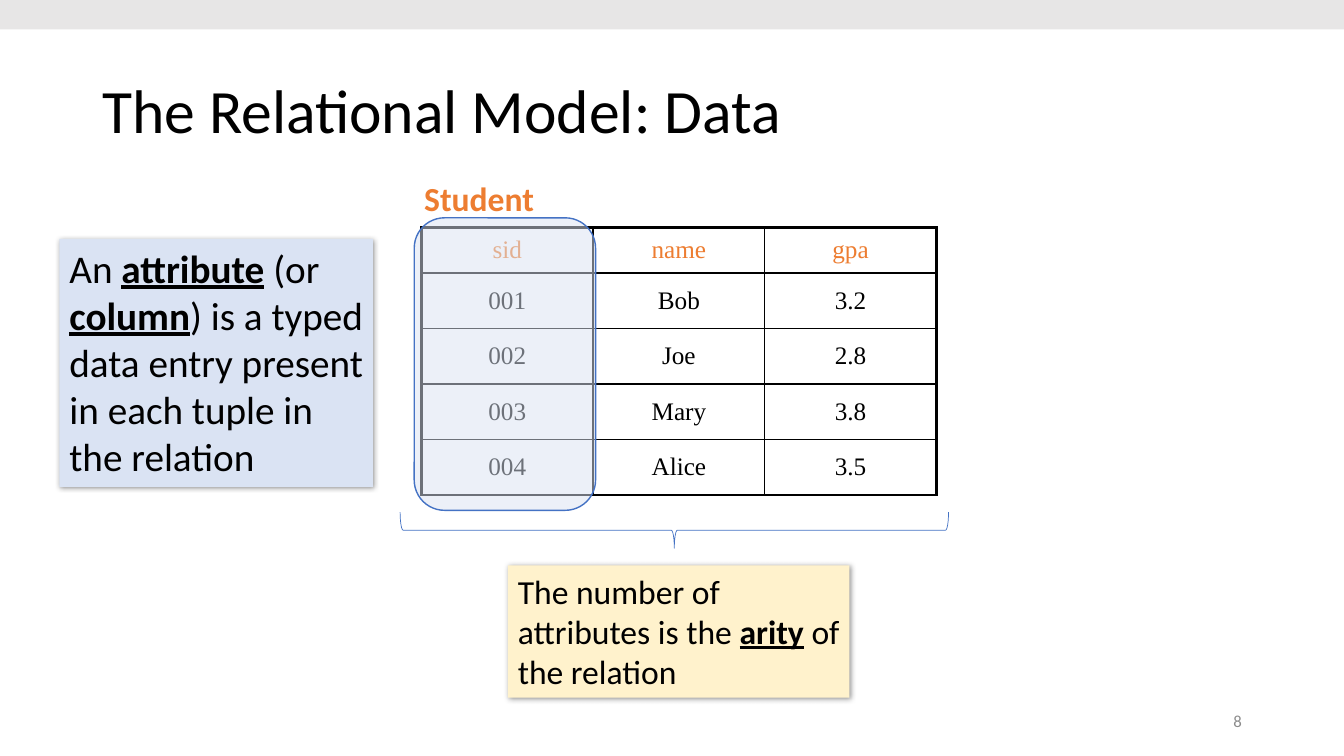
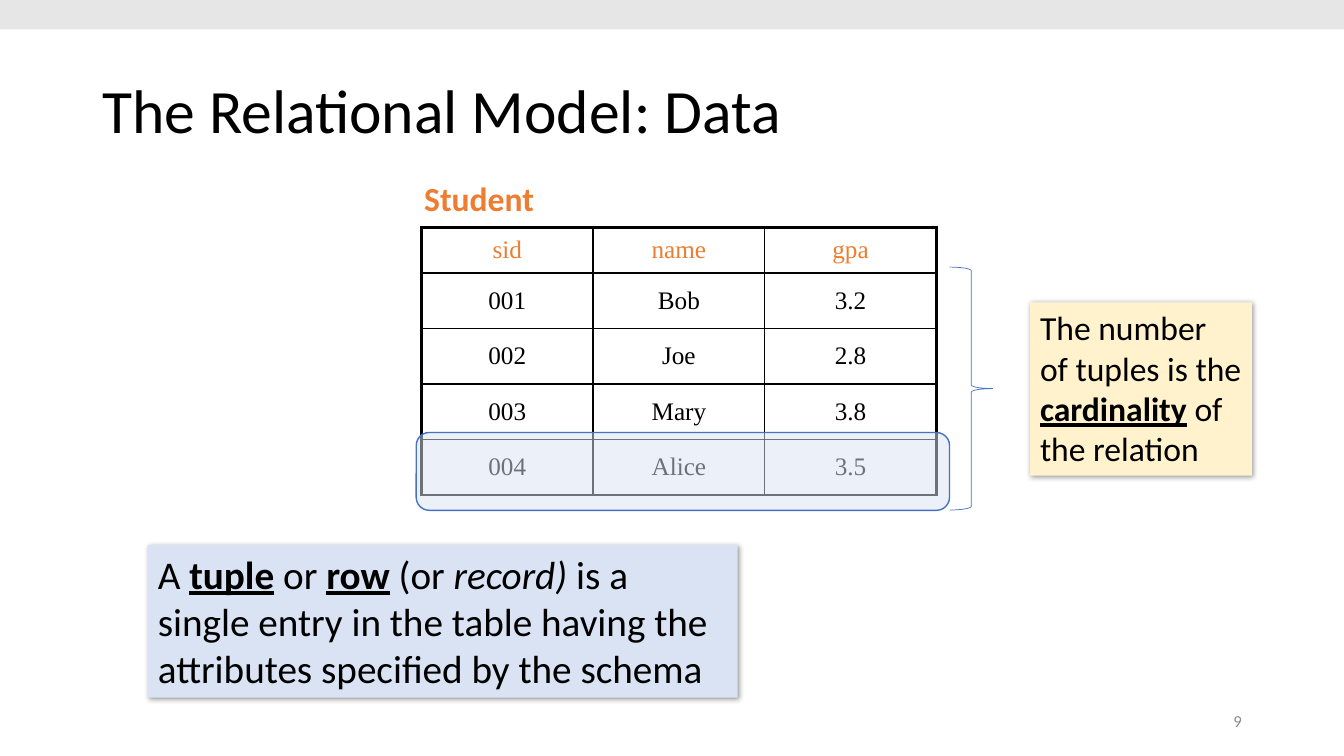
from dataclasses import dataclass

from lxml.etree import SubElement
from pptx import Presentation
from pptx.dml.color import RGBColor as Rgb
from pptx.enum.shapes import MSO_SHAPE as Shape
from pptx.enum.text import MSO_ANCHOR as Anchor, MSO_AUTO_SIZE as AutoSize, PP_ALIGN as Align
from pptx.oxml.ns import qn
from pptx.util import Cm, Pt


@dataclass(frozen=True)
class Theme:
    ink: str = "000000"
    accent: str = "ED7D31"
    outline: str = "4472C4"
    blue: str = "DAE3F3"
    yellow: str = "FFF2CC"
    band: str = "E7E6E6"
    muted: str = "8C8C8C"
    body_font: str = "Calibri"
    table_font: str = "Times New Roman"
    title_size: float = 44
    note_size: float = 28
    label_size: float = 24
    cell_size: float = 18
    number_size: float = 12
    thick: float = 2.25
    thin: float = 1
    hairline: float = 0.5


@dataclass(frozen=True)
class Box:
    """Left, top, width and height in centimetres."""
    x: float
    y: float
    w: float
    h: float

    def emu(self) -> tuple:
        return Cm(self.x), Cm(self.y), Cm(self.w), Cm(self.h)


@dataclass(frozen=True)
class Note:
    """A filled box; each phrase is its text and a style of b, u and i."""
    box: Box
    fill: str
    size: float
    phrases: tuple


@dataclass(frozen=True)
class Page:
    number: int
    notes: tuple
    highlight: Box
    brace: Box
    brace_angle: float


T = Theme()
WIDTH, HEIGHT = 33.87, 19.05
TITLE = "The Relational Model: Data"
STUDENTS = (
    ("sid", "name", "gpa"),
    ("001", "Bob", "3.2"),
    ("002", "Joe", "2.8"),
    ("003", "Mary", "3.8"),
    ("004", "Alice", "3.5"),
)
HEAD_HEIGHT, ROW_HEIGHT = 1.14, 1.4
TABLE = Box(10.62, 5.74, 12.98, HEAD_HEIGHT + 4 * ROW_HEIGHT)

PAGES = (
    Page(
        8,
        (
            Note(Box(1.5, 6.02, 7.9, 6.25), T.blue, T.note_size, (
                ("An ", ""), ("attribute", "bu"), (" (or ", ""), ("column", "bu"),
                (") is a typed data entry present in each tuple in the relation", ""))),
            Note(Box(12.8, 14.25, 8.61, 3.33), T.yellow, T.label_size, (
                ("The number of attributes is the ", ""), ("arity", "bu"),
                (" of the relation", ""))),
        ),
        Box(10.44, 5.49, 4.57, 7.37), Box(16.54, 6.45, 0.91, 13.82), 270,
    ),
    Page(
        9,
        (
            Note(Box(3.73, 13.74, 14.86, 3.84), T.blue, T.note_size, (
                ("A ", ""), ("tuple", "bu"), (" or ", ""), ("row", "bu"), (" (or ", ""),
                ("record) ", "i"),
                ("is a single entry in the table having the attributes specified by the schema", ""))),
            Note(Box(25.96, 7.62, 5.59, 4.37), T.yellow, T.label_size, (
                ("The number of tuples is the ", ""), ("cardinality", "bu"),
                (" of the relation", ""))),
        ),
        Box(10.49, 10.9, 13.44, 1.96), Box(23.93, 6.73, 1.09, 6.12), 180,
    ),
)


# Text and shapes
def style_run(r, size: float, color: str = T.ink, font: str = T.body_font, style: str = "") -> None:
    r.font.name, r.font.size = font, Pt(size)
    r.font.color.rgb = Rgb.from_string(color)
    r.font.bold, r.font.underline, r.font.italic = (key in style for key in "bui")


def add_label(s, box: Box, text: str, size: float, color: str = T.ink, style: str = "",
              anchor=Anchor.MIDDLE, align=Align.LEFT, wrap: bool = True):
    tf = s.shapes.add_textbox(*box.emu()).text_frame
    tf.text = text
    tf.word_wrap, tf.vertical_anchor = wrap, anchor
    p = tf.paragraphs[0]
    p.alignment = align
    style_run(p.runs[0], size, color, style=style)
    return p


def add_plain_shape(s, kind, box: Box, fill: str = "", line: str = "", width: float = T.thin):
    sp = s.shapes.add_shape(kind, *box.emu())
    sp.shadow.inherit = False
    if fill:
        sp.fill.solid()
        sp.fill.fore_color.rgb = Rgb.from_string(fill)
    else:
        sp.fill.background()
    if line:
        sp.line.color.rgb = Rgb.from_string(line)
        sp.line.width = Pt(width)
    else:
        sp.line.fill.background()
    return sp


def add_note(s, note: Note) -> None:
    sp = add_plain_shape(s, Shape.RECTANGLE, note.box, note.fill)
    effects = sp._element.spPr.find(qn("a:effectLst"))
    shadow = SubElement(effects, qn("a:outerShdw"), blurRad=str(Pt(4)), dist=str(Pt(1)),
                        dir=str(45 * 60000), algn="tl", rotWithShape="0")
    color = SubElement(shadow, qn("a:srgbClr"), val=T.ink)
    SubElement(color, qn("a:alpha"), val="40000")
    tf = sp.text_frame
    tf.word_wrap, tf.auto_size = True, AutoSize.SHAPE_TO_FIT_TEXT
    tf.vertical_anchor = Anchor.TOP
    p = tf.paragraphs[0]
    p.alignment = Align.LEFT
    for text, style in note.phrases:
        r = p.add_run()
        r.text = text
        style_run(r, note.size, style=style)


def add_highlight(s, box: Box) -> None:
    sp = add_plain_shape(s, Shape.ROUNDED_RECTANGLE, box, T.blue, T.outline)
    color = sp._element.spPr.find(qn("a:solidFill")).find(qn("a:srgbClr"))
    SubElement(color, qn("a:alpha"), val="50000")


# Student table
def add_border(cell, side: str, width: float) -> None:
    ln = SubElement(cell._tc.get_or_add_tcPr(), qn(f"a:ln{side}"), w=str(Pt(width)))
    SubElement(SubElement(ln, qn("a:solidFill")), qn("a:srgbClr"), val=T.ink)


def add_student_table(s) -> None:
    rows, cols = len(STUDENTS), len(STUDENTS[0])
    table = s.shapes.add_table(rows, cols, *TABLE.emu()).table
    table.first_row = table.horz_banding = False
    for column in table.columns:
        column.width = Cm(TABLE.w / cols)
    for i, values in enumerate(STUDENTS):
        table.rows[i].height = Cm(ROW_HEIGHT if i else HEAD_HEIGHT)
        for j, value in enumerate(values):
            cell = table.cell(i, j)
            thick_sides = {"L": j == 0, "R": j == cols - 1, "T": i < 2, "B": i in (0, rows - 1)}
            for side, is_thick in thick_sides.items():
                add_border(cell, side, T.thick if is_thick else T.thin)
            cell.fill.background()
            cell.vertical_anchor = Anchor.MIDDLE
            p = cell.text_frame.paragraphs[0]
            p.text = value
            p.alignment = Align.CENTER
            before = SubElement(p._p.get_or_add_pPr(), qn("a:spcBef"))
            SubElement(before, qn("a:spcPct"), val="20000")
            style_run(p.runs[0], T.cell_size, T.ink if i else T.accent, T.table_font)


# Slides
def add_page(prs, page: Page) -> None:
    s = prs.slides.add_slide(prs.slide_layouts[6])
    add_plain_shape(s, Shape.RECTANGLE, Box(0, 0, WIDTH, 0.74), T.band)
    title = add_label(s, Box(2.33, 1.02, 29.21, 3.68), TITLE, T.title_size)
    title.line_spacing = 0.9
    add_label(s, Box(23.93, 17.65, 7.62, 1.02), str(page.number), T.number_size, T.muted,
              align=Align.RIGHT)
    add_student_table(s)
    add_label(s, Box(10.44, 4.37, 3.33, 1.27), "Student", T.label_size, T.accent, "b",
              anchor=Anchor.TOP, wrap=False)
    for note in page.notes:
        add_note(s, note)
    add_highlight(s, page.highlight)
    brace = add_plain_shape(s, Shape.LEFT_BRACE, page.brace, line=T.outline, width=T.hairline)
    brace.rotation = page.brace_angle


def main() -> None:
    prs = Presentation()
    prs.slide_width, prs.slide_height = Cm(WIDTH), Cm(HEIGHT)
    for page in PAGES:
        add_page(prs, page)
    prs.save("out.pptx")


if __name__ == "__main__":
    main()
